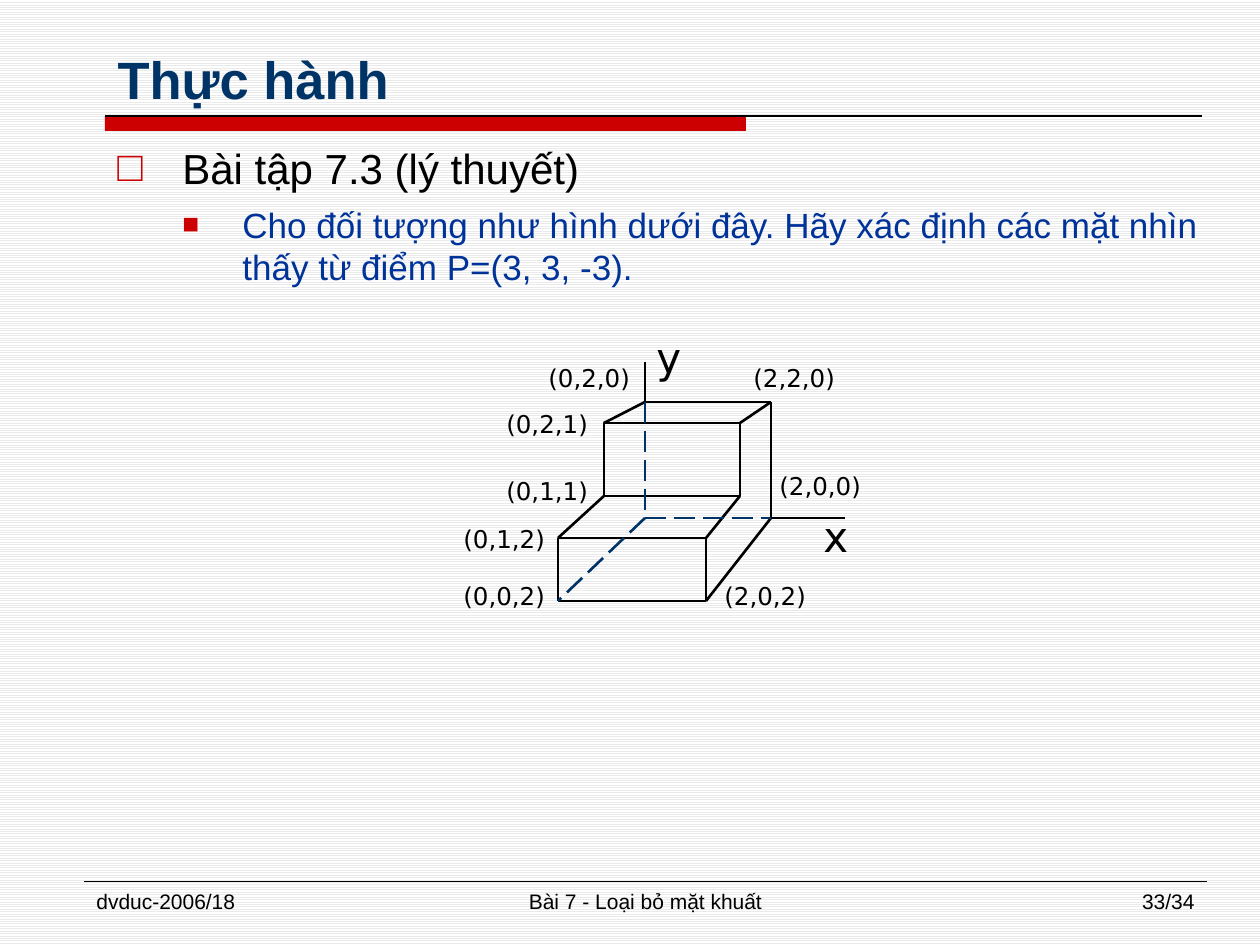
from lxml.etree import SubElement
from pptx import Presentation
from pptx.dml.color import RGBColor
from pptx.enum.dml import MSO_LINE, MSO_PATTERN
from pptx.enum.shapes import MSO_CONNECTOR, MSO_SHAPE
from pptx.enum.text import MSO_ANCHOR as Anchor, MSO_AUTO_SIZE as AutoSize, PP_ALIGN as Align
from pptx.oxml.ns import qn
from pptx.util import Emu, Pt

PX = 914400 / 126
COLORS = {
    "ink": "000000", "navy": "003366", "blue": "003399",
    "red": "CC0000", "stripe": "EAEAEA", "paper": "FFFFFF",
}


def px(length):
    return Emu(round(length * PX))


def rgb(name):
    return RGBColor.from_string(COLORS[name])


def format_runs(paragraph, size, color, font="Arial", bold=False):
    for run in paragraph.runs:
        run.font.size = Pt(size)
        run.font.name = font
        run.font.bold = bold
        run.font.color.rgb = rgb(color)


def add_label(shapes, text, box, size, font="Arial", align=Align.LEFT, wrap=True):
    label = shapes.add_textbox(*map(px, box))
    frame = label.text_frame
    frame.word_wrap = wrap
    if not wrap:
        frame.auto_size = AutoSize.SHAPE_TO_FIT_TEXT
    frame.text = text
    frame.paragraphs[0].alignment = align
    format_runs(frame.paragraphs[0], size, "ink", font)


def add_line(shapes, start, end, color="ink", width=1.5, dashed=False):
    line = shapes.add_connector(MSO_CONNECTOR.STRAIGHT, *map(px, (*start, *end)))
    line.line.color.rgb = rgb(color)
    line.line.width = Pt(width)
    if dashed:
        line.line.dash_style = MSO_LINE.LONG_DASH
    SubElement(line._element.spPr, qn("a:effectLst"))


def add_box(shapes, box):
    rectangle = shapes.add_shape(MSO_SHAPE.RECTANGLE, *map(px, box))
    rectangle.shadow.inherit = False
    return rectangle


def add_bullet(paragraph, char, indent, hanging, percent):
    properties = paragraph._p.get_or_add_pPr()
    properties.set("marL", str(px(indent)))
    properties.set("indent", str(-px(hanging)))
    color = SubElement(properties, qn("a:buClr"))
    SubElement(color, qn("a:srgbClr"), val=COLORS["red"])
    SubElement(properties, qn("a:buSzPct"), val=str(percent * 1000))
    SubElement(properties, qn("a:buFont"), typeface="Arial")
    SubElement(properties, qn("a:buChar"), char=char)


def build_background(slide):
    fill = slide.background.fill
    fill.patterned()
    fill.pattern = MSO_PATTERN.LIGHT_HORIZONTAL
    fill.fore_color.rgb = rgb("stripe")
    fill.back_color.rgb = rgb("paper")


def build_header(slide, left, top, width, height):
    bottom = top + height
    bar = add_box(slide.shapes, (left, bottom, 641, 15))
    bar.fill.solid()
    bar.fill.fore_color.rgb = rgb("red")
    bar.line.fill.background()
    add_line(slide.shapes, (left, bottom), (left + 1097, bottom), width=0.75)

    title = slide.shapes.title
    title.left, title.top, title.width, title.height = map(px, (left, top, width, height))
    frame = title.text_frame
    frame.text = "Thực hành"
    frame.vertical_anchor = Anchor.BOTTOM
    frame.paragraphs[0].alignment = Align.LEFT
    format_runs(frame.paragraphs[0], 30, "navy", bold=True)


def build_exercise(slide, left, top, width, height):
    frame = slide.shapes.add_textbox(*map(px, (left, top, width, height))).text_frame
    frame.word_wrap = True
    items = [
        ("Bài tập 7.3 (lý thuyết)", 24, "ink", "□", 65, 65, 100),
        ("Cho đối tượng như hình dưới đây. Hãy xác định các mặt nhìn "
         "thấy từ điểm P=(3, 3, -3).", 20, "blue", "■", 125, 60, 80),
    ]
    frame.text = "\n".join(item[0] for item in items)
    for level, (paragraph, item) in enumerate(zip(frame.paragraphs, items)):
        _, size, color, char, indent, hanging, percent = item
        paragraph.level = level
        paragraph.space_before = paragraph.space_after = Pt(3)
        format_runs(paragraph, size, color)
        add_bullet(paragraph, char, indent, hanging, percent)


def build_solid(slide, left, top):
    shapes = slide.shapes.add_group_shape().shapes

    def at(x, y):
        return left + x, top + y

    upper_face = add_box(shapes, (*at(154, 98), 136, 73))
    upper_face.fill.background()
    upper_face.line.color.rgb = rgb("ink")
    upper_face.line.width = Pt(1.5)

    corners = {
        "y_end": (195, 37), "x_end": (395, 193), "origin": (195, 193),
        "020": (195, 77), "220": (321, 77), "200": (321, 193),
        "021": (154, 98), "221": (290, 98), "011": (154, 171), "211": (290, 171),
        "012": (108, 213), "212": (256, 213), "002": (108, 276), "202": (256, 276),
    }
    visible = [
        ("021", "020"), ("020", "220"), ("220", "221"), ("211", "212"),
        ("011", "012"), ("012", "212"), ("220", "200"), ("212", "202"),
        ("202", "200"), ("012", "002"), ("002", "202"),
        ("200", "x_end"), ("y_end", "020"),
    ]
    hidden = [("020", "origin"), ("origin", "002"), ("origin", "200")]
    for start, end in visible:
        add_line(shapes, at(*corners[start]), at(*corners[end]))
    for start, end in hidden:
        add_line(shapes, at(*corners[start]), at(*corners[end]), "navy", dashed=True)

    coordinates = [
        ("(0,2,0)", 86, 32), ("(2,2,0)", 291, 32), ("(2,0,0)", 317, 140),
        ("(0,2,1)", 44, 78), ("(0,1,1)", 44, 145), ("(0,1,2)", 1, 193),
        ("(0,0,2)", 1, 250), ("(2,0,2)", 262, 250),
    ]
    for text, x, y in coordinates:
        add_label(shapes, text, (*at(x, y), 113, 43), 14, "DejaVu Sans", wrap=False)
    for text, x, y in [("x", 361, 179), ("y", 194, 0)]:
        add_label(shapes, text, (*at(x, y), 50, 64), 24, "DejaVu Sans", wrap=False)


def build_footer(slide, left, top, width, height):
    add_line(slide.shapes, (left, top), (left + width, top), width=0.25)
    parts = [
        ("dvduc-2006/18", 0, 273, Align.LEFT),
        ("Bài 7 - Loại bỏ mặt khuất", (width - 399) // 2, 399, Align.CENTER),
        ("33/34", width - 273, 273, Align.RIGHT),
    ]
    for text, x, part_width, align in parts:
        add_label(slide.shapes, text, (left + x, top + 1, part_width, height), 12, align=align)


def main():
    deck = Presentation()
    deck.slide_width, deck.slide_height = px(1260), px(945)
    slide = deck.slides.add_slide(deck.slide_layouts[5])
    build_background(slide)
    build_header(slide, 105, 21, 1134, 95)
    build_exercise(slide, 105, 136, 1134, 746)
    build_solid(slide, 450, 325)
    build_footer(slide, 84, 881, 1123, 44)
    deck.save("out.pptx")


if __name__ == "__main__":
    main()
